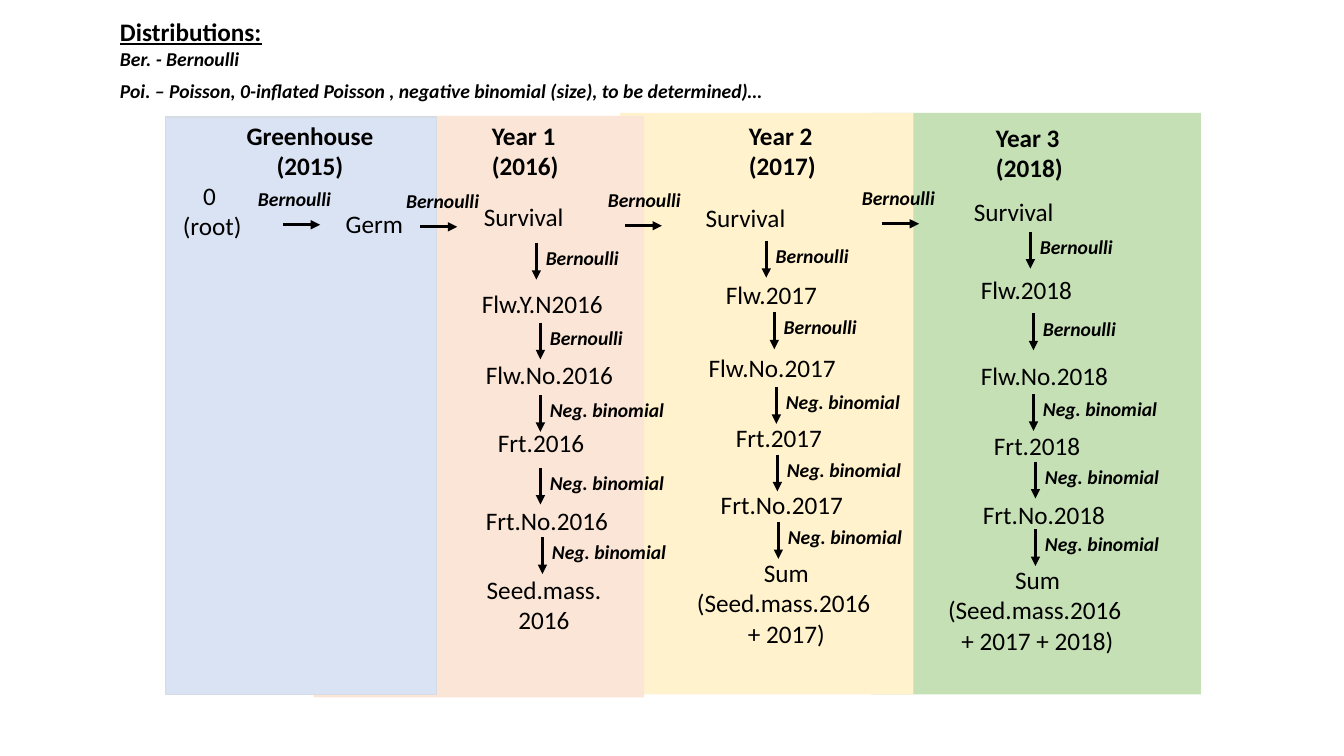
from dataclasses import dataclass
from lxml.etree import SubElement
from pptx import Presentation
from pptx.dml.color import RGBColor
from pptx.enum.shapes import MSO_CONNECTOR, MSO_SHAPE
from pptx.enum.text import MSO_ANCHOR, MSO_AUTO_SIZE, PP_ALIGN
from pptx.oxml.ns import qn
from pptx.util import Inches, Pt


@dataclass(frozen=True)
class Theme:
    font: str = "Calibri"
    ink: str = "000000"
    greenhouse: str = "DAE3F3"
    greenhouse_edge: str = "D6DCE5"
    year_1: str = "FBE5D6"
    year_2: str = "FFF2CC"
    year_3: str = "C5E0B4"
    large: int = 18
    small: int = 14
    arrow: float = 2.25


theme = Theme()
deck = Presentation()
deck.slide_width, deck.slide_height = Inches(13.33), Inches(7.5)
cell = deck.slide_height // 75
page = deck.slides.add_slide(deck.slide_layouts[1])


def place(*lengths):
    return [round(length * cell) for length in lengths]


def write(box, text, size=theme.large, bold=False, italic=False, underline=False,
          align=PP_ALIGN.LEFT, gap=0, wrap=False):
    frame = box.text_frame
    frame.word_wrap = wrap
    frame.auto_size = MSO_AUTO_SIZE.SHAPE_TO_FIT_TEXT
    frame.vertical_anchor = MSO_ANCHOR.TOP
    for index, line in enumerate(text.split("\n")):
        para = frame.paragraphs[0] if index == 0 else frame.add_paragraph()
        para.alignment = align
        para.space_before = Pt(gap if index else 0)
        span = para.add_run()
        span.text = line
        font = span.font
        font.name, font.size = theme.font, Pt(size)
        font.bold, font.italic, font.underline = bold, italic, underline
        font.color.rgb = RGBColor.from_string(theme.ink)


title, body = page.placeholders
title.left, title.top, title.width, title.height = place(10.9, 1.1, 16.2, 4)
write(title, "Distributions:", bold=True, underline=True)
body.left, body.top, body.width, body.height = place(10.9, 4.2, 66.5, 6.6)
write(body, "Ber. - Bernoulli\nPoi. – Poisson, 0-inflated Poisson , negative binomial (size), "
      "to be determined)…", size=theme.small, bold=True, italic=True, gap=6)
for para in body.text_frame.paragraphs:
    properties = para._p.get_or_add_pPr()
    properties.set("marL", "0")
    properties.set("indent", "0")
    SubElement(properties, qn("a:buNone"))

panels = [
    (86.4, 11.2, 32.7, 57.7, theme.year_3, None),
    (61.5, 11.2, 29.1, 57.7, theme.year_2, None),
    (31.1, 11.5, 32.8, 57.7, theme.year_1, None),
    (16.4, 11.6, 26.9, 57.3, theme.greenhouse, theme.greenhouse_edge),
]
for left, top, width, height, fill, edge in panels:
    panel = page.shapes.add_shape(MSO_SHAPE.RECTANGLE, *place(left, top, width, height))
    panel.shadow.inherit = False
    panel.fill.solid()
    panel.fill.fore_color.rgb = RGBColor.from_string(fill)
    if edge:
        panel.line.color.rgb = RGBColor.from_string(edge)
        panel.line.width = Pt(1)
    else:
        panel.line.fill.background()

headings = [
    ("Greenhouse\n(2015)", 23.4, 11.4, 14.7, PP_ALIGN.CENTER),
    ("Year 1\n(2016)", 47.8, 11.4, 8.7, PP_ALIGN.LEFT),
    ("Year 2\n(2017)", 73.3, 11.4, 8.7, PP_ALIGN.LEFT),
    ("Year 3\n(2018)", 97.8, 11.6, 8.7, PP_ALIGN.LEFT),
]
for text, left, top, width, align in headings:
    box = page.shapes.add_textbox(*place(left, top, width, 7.1))
    write(box, text, bold=True, align=align)

stages = [
    ("0 \n(root)", 17.1, 17.4, 7.9),
    ("Germ", 33.3, 20.2, 7.8),
    ("Survival", 47, 19.5, 10),
    ("Flw.Y.N2016", 46.8, 28.1, 14.1),
    ("Flw.No.2016", 47.2, 35.2, 14.7),
    ("Frt.2016", 48.4, 41.9, 10.6),
    ("Frt.No.2016", 47.2, 49.6, 14.2),
    ("Seed.mass.\n2016", 47.2, 56.5, 13.5),
    ("Survival", 69, 19.6, 10),
    ("Flw.2017", 71, 27.2, 11.1),
    ("Flw.No.2017", 69.3, 34.5, 14.7),
    ("Frt.2017", 72, 41.4, 10.6),
    ("Frt.No.2017", 70.5, 48.1, 14.2),
    ("Sum\n(Seed.mass.2016 \n+ 2017)", 68, 54.8, 20),
    ("Survival", 95.6, 19, 10),
    ("Flw.2018", 96.3, 26.7, 11.1),
    ("Flw.No.2018", 96.3, 35.3, 14.7),
    ("Frt.2018", 97.6, 42.2, 10.6),
    ("Frt.No.2018", 96.5, 49, 14.2),
    ("Sum\n(Seed.mass.2016 \n+ 2017 + 2018)", 92.9, 55.5, 20),
]
for text, left, top, width in stages:
    breaks = text.count("\n")
    box = page.shapes.add_textbox(*place(left, top, width, 4 + 3.05 * breaks))
    write(box, text, align=PP_ALIGN.CENTER if breaks else PP_ALIGN.LEFT)

reach = 3.65
across = [(28.1, 22.3, 24.6), (41.7, 22.5, 39.3), (62, 22.4, 59.3), (87.5, 22.2, 84.5)]
down = [
    [(53.2, 24.1), (53.6, 32), (53.6, 39.2), (53.6, 46.4), (53.8, 53.3)],
    [(76, 23.9), (76.8, 31), (77, 38.4), (77.1, 45.1), (77.2, 51.8)],
    [(102.2, 23), (102.5, 31.1), (102.5, 39.1), (102.7, 45.8), (102.7, 52.5)],
]
moves = [("Bernoulli", x, y, reach, 0, label_left, y - 4.2) for x, y, label_left in across]
for year in down:
    for index, (x, y) in enumerate(year):
        label = "Bernoulli" if index < 2 else "Neg. binomial"
        moves.append((label, x, y, 0, reach, x - 0.05, y - 0.2))
for label, x, y, run, drop, label_left, label_top in moves:
    group = page.shapes.add_group_shape()
    arrow = group.shapes.add_connector(MSO_CONNECTOR.STRAIGHT, *place(x, y, x + run, y + drop))
    arrow.line.color.rgb = RGBColor.from_string(theme.ink)
    arrow.line.width = Pt(theme.arrow)
    SubElement(arrow.line._get_or_add_ln(), qn("a:tailEnd"), type="triangle")
    SubElement(arrow._element.spPr, qn("a:effectLst"))
    width = 9.3 if label == "Bernoulli" else 13.5
    box = group.shapes.add_textbox(*place(label_left, label_top, width, 3.4))
    write(box, label, size=theme.small, bold=True, italic=True)

deck.save("out.pptx")
